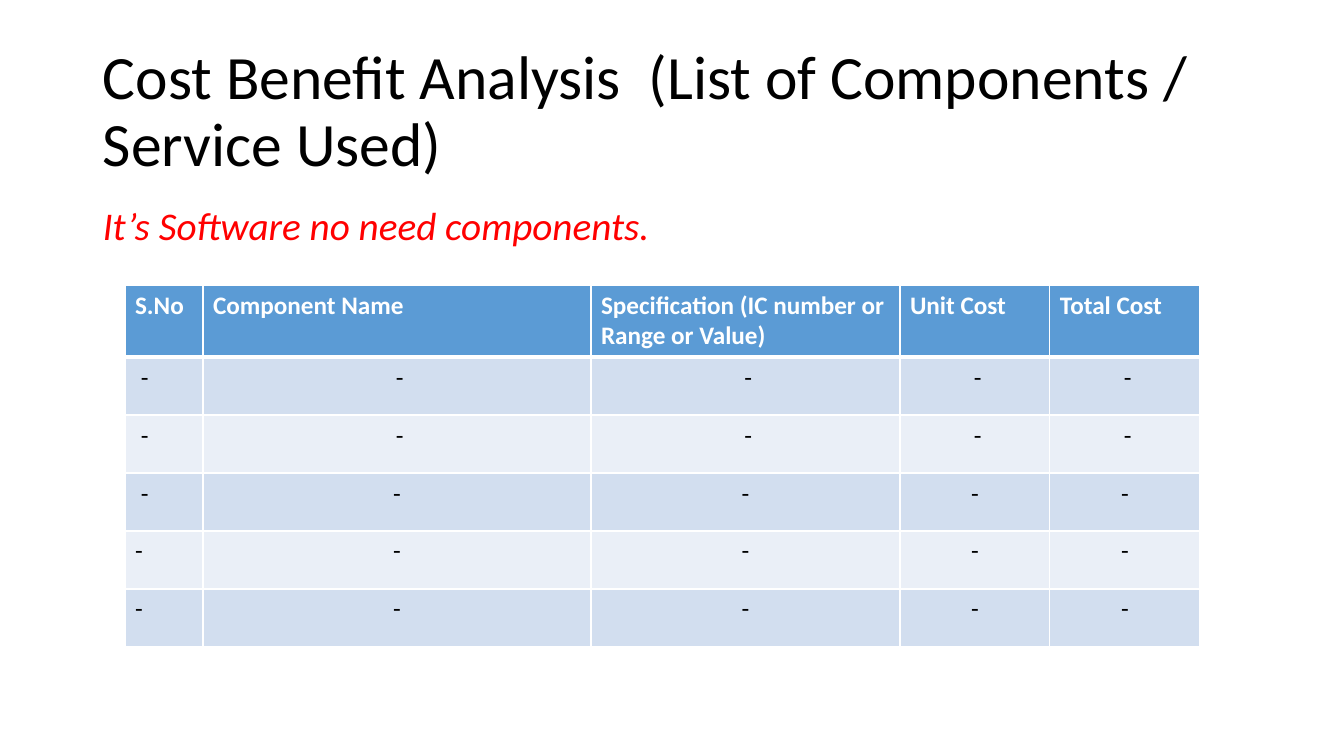
from lxml import etree
from pptx import Presentation, util as u
from pptx.dml.color import RGBColor
from pptx.enum import text
from pptx.oxml import ns

PX = 914400 / 100.8
FONT = "Calibri"
COLORS = {
    "black": "000000",
    "white": "FFFFFF",
    "red": "FF0000",
    "header": "5B9BD5",
    "odd_row": "D2DEEF",
    "even_row": "EAEFF7",
}
HEADINGS = ["S.No", "Component Name", "Specification (IC number or Range or Value)",
            "Unit Cost", "Total Cost"]
ENTRIES = [[" -"] * 5, [" -"] * 5, [" -"] + ["-"] * 4, ["-"] * 5, ["-"] * 5]
COLUMN_WIDTHS = [78, 388, 309, 150, 150]
HEADER_HEIGHT = 72
ROW_HEIGHT = 58


def px(length):
    return u.Emu(round(length * PX))


def color(name):
    return RGBColor.from_string(COLORS[name])


def add_run(paragraph, words, size, color_name, bold=False, italic=False):
    run = paragraph.add_run()
    run.text = words
    run.font.name = FONT
    run.font.size = u.Pt(size)
    run.font.bold = bold
    run.font.italic = italic
    run.font.color.rgb = color(color_name)


def add_text(slide, box, words, size, color_name, anchor, italic=False):
    shape = slide.shapes.add_textbox(*map(px, box))
    frame = shape.text_frame
    frame.word_wrap = True
    frame.vertical_anchor = anchor
    paragraph = frame.paragraphs[0]
    paragraph.line_spacing = 0.9
    add_run(paragraph, words, size, color_name, italic=italic)


def set_borders(cell, widths):
    properties = cell._tc.get_or_add_tcPr()
    for position, (side, width) in enumerate(widths.items()):
        line = etree.Element(ns.qn(f"a:{side}"), w=str(u.Pt(width)))
        fill = etree.SubElement(line, ns.qn("a:solidFill"))
        etree.SubElement(fill, ns.qn("a:srgbClr"), val=COLORS["white"])
        properties.insert(position, line)


def fill_cell(cell, words, row, column):
    is_header = row == 0
    fill_name = "header" if is_header else "odd_row" if row % 2 else "even_row"
    cell.fill.solid()
    cell.fill.fore_color.rgb = color(fill_name)
    paragraph = cell.text_frame.paragraphs[0]
    if not is_header and column > 0:
        paragraph.alignment = text.PP_ALIGN.CENTER
    add_run(paragraph, words, 18, "white" if is_header else "black", bold=is_header)
    set_borders(cell, {"lnL": 1, "lnR": 1, "lnT": 3 if row == 1 else 1,
                       "lnB": 3 if is_header else 1})


def add_cost_table(slide, left, top):
    rows = [HEADINGS] + ENTRIES
    heights = [HEADER_HEIGHT] + [ROW_HEIGHT] * len(ENTRIES)
    table = slide.shapes.add_table(
        len(rows), len(HEADINGS), px(left), px(top),
        px(sum(COLUMN_WIDTHS)), px(sum(heights))).table
    for column, width in zip(table.columns, COLUMN_WIDTHS):
        column.width = px(width)
    for row, (height, entries) in enumerate(zip(heights, rows)):
        table.rows[row].height = px(height)
        for column, words in enumerate(entries):
            fill_cell(table.cell(row, column), words, row, column)


def main():
    presentation = Presentation()
    presentation.slide_width = px(1344)
    presentation.slide_height = px(756)
    slide = presentation.slides.add_slide(presentation.slide_layouts[6])
    add_text(slide, (93, 40, 1159, 146),
             "Cost Benefit Analysis  (List of Components / Service Used)",
             44, "black", text.MSO_ANCHOR.MIDDLE)
    add_text(slide, (93, 202, 1159, 480), "It’s Software no need components.",
             28, "red", text.MSO_ANCHOR.TOP, italic=True)
    add_cost_table(slide, 125, 285)
    presentation.save("out.pptx")


if __name__ == "__main__":
    main()
